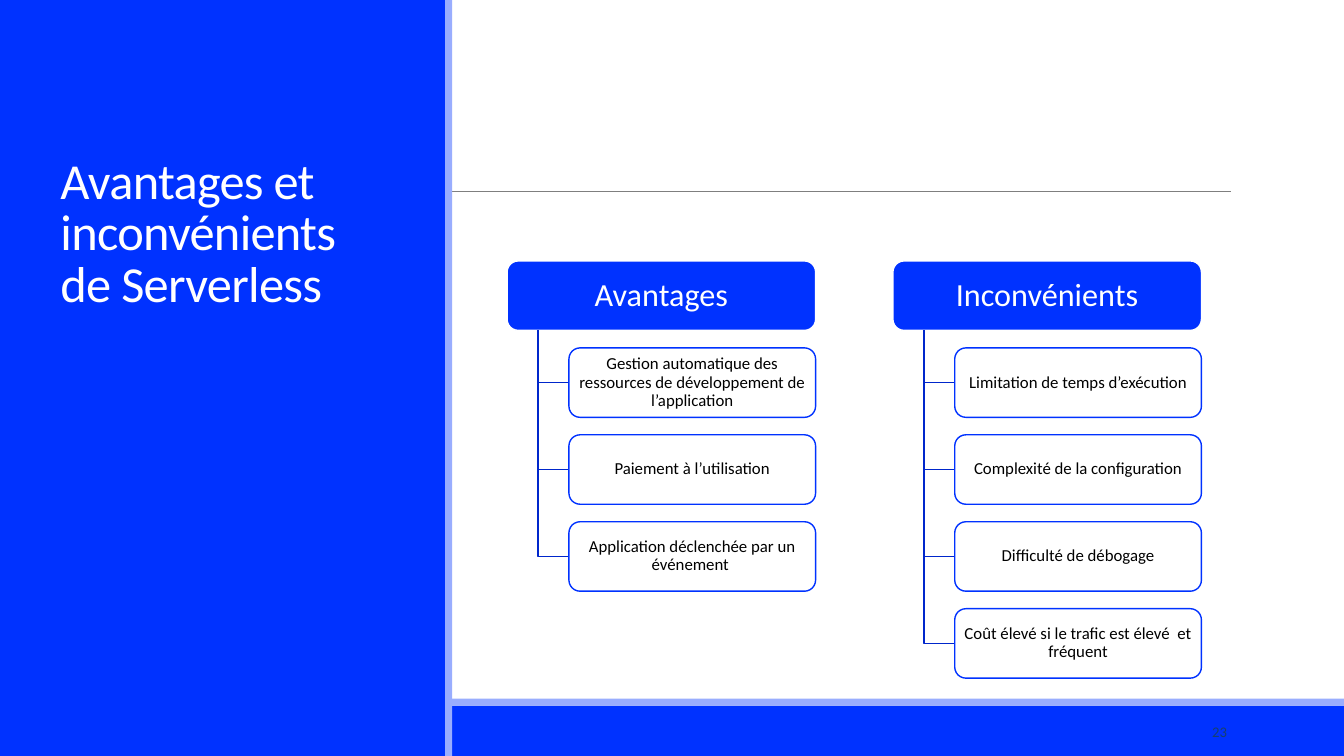
from pptx import Presentation
from pptx.dml.color import RGBColor
from pptx.enum.shapes import MSO_CONNECTOR, MSO_SHAPE
from pptx.enum.text import MSO_ANCHOR, MSO_AUTO_SIZE, PP_ALIGN
from pptx.oxml.ns import qn
from pptx.util import Pt
from lxml.etree import SubElement

INK = {
    "blue": "0032FF",
    "pale": "99ADFE",
    "link": "0026CB",
    "rule": "7F7F7F",
    "white": "FFFFFF",
    "black": "000000",
    "navy": "17406D",
}
FONT = "Calibri"
WIDE, HIGH = 960, 540
TOP, TALL = 186.4, 49.6
STEP = 62.1
INDENT = 44.2
LISTS = [
    (362.2, "Avantages", [
        "Gestion automatique des ressources de développement de l’application",
        "Paiement à l’utilisation",
        "Application déclenchée par un événement ",
    ]),
    (637.8, "Inconvénients", [
        "Limitation de temps d’exécution",
        "Complexité de la configuration",
        "Difficulté de débogage",
        "Coût élevé si le trafic est élevé  et fréquent",
    ]),
]


def color(name):
    return RGBColor.from_string(INK[name])


def write(frame, text, size, ink, align, anchor):
    frame.word_wrap = True
    frame.auto_size = MSO_AUTO_SIZE.NONE
    frame.vertical_anchor = anchor
    para = frame.paragraphs[0]
    para.text = text
    para.alignment = align
    para.font.name = FONT
    para.font.size = Pt(size)
    para.font.color.rgb = color(ink)
    return para


def add_bar(slide, left, top, width, height, fill):
    bar = slide.shapes.add_shape(
        MSO_SHAPE.RECTANGLE, Pt(left), Pt(top), Pt(width), Pt(height))
    bar.shadow.inherit = False
    bar.fill.solid()
    bar.fill.fore_color.rgb = color(fill)
    bar.line.fill.background()


def add_rule(slide, left, right, top):
    rule = slide.shapes.add_connector(
        MSO_CONNECTOR.STRAIGHT, Pt(left), Pt(top), Pt(right), Pt(top))
    rule.line.color.rgb = color("rule")
    rule.line.width = Pt(0.5)
    SubElement(rule._element.spPr, qn("a:effectLst"))


def add_elbow(slide, left, top, right, low):
    pen = slide.shapes.build_freeform(Pt(left), Pt(top))
    pen.add_line_segments(
        [(Pt(left), Pt(low)), (Pt(right), Pt(low))], close=False)
    elbow = pen.convert_to_shape()
    elbow.shadow.inherit = False
    elbow.fill.background()
    elbow.line.color.rgb = color("link")
    elbow.line.width = Pt(1)


def add_card(slide, left, top, width, text, size, fill, edge, ink, inset):
    card = slide.shapes.add_shape(
        MSO_SHAPE.ROUNDED_RECTANGLE, Pt(left), Pt(top), Pt(width), Pt(TALL))
    card.adjustments[0] = 0.16
    card.shadow.inherit = False
    card.fill.solid()
    card.fill.fore_color.rgb = color(fill)
    card.line.color.rgb = color(edge)
    card.line.width = Pt(1)
    frame = card.text_frame
    frame.margin_left = frame.margin_right = Pt(inset)
    frame.margin_top = frame.margin_bottom = Pt(3.6)
    para = write(frame, text, size, ink, PP_ALIGN.CENTER, MSO_ANCHOR.MIDDLE)
    para.line_spacing = 0.9


def add_list(slide, left, head, items):
    add_card(slide, left, TOP, 220.4, head, 23, "blue", "white", "white", 5.8)
    for row, item in enumerate(items, 1):
        top = TOP + row * STEP
        add_elbow(slide, left + INDENT / 2, TOP + TALL,
                  left + INDENT, top + TALL / 2)
        add_card(slide, left + INDENT, top, 176.2, item, 12,
                 "white", "blue", "black", 3.6)


def add_title(slide, text):
    title = slide.shapes.title
    title.left, title.top = Pt(36), Pt(46.8)
    title.width, title.height = Pt(252), Pt(180)
    para = write(title.text_frame, text, 36, "white",
                 PP_ALIGN.LEFT, MSO_ANCHOR.BOTTOM)
    para.line_spacing = 0.85
    para.runs[0].font._element.set("spc", "-50")
    slide.shapes._spTree.append(title._element)


def add_number(slide, text):
    box = slide.shapes.add_textbox(Pt(780), Pt(508.5), Pt(103.5), Pt(28.8))
    write(box.text_frame, text, 10.5, "navy",
          PP_ALIGN.RIGHT, MSO_ANCHOR.MIDDLE)


def main():
    deck = Presentation()
    deck.slide_width, deck.slide_height = Pt(WIDE), Pt(HIGH)
    slide = deck.slides.add_slide(deck.slide_layouts[5])
    add_bar(slide, 0, 504, WIDE, 36, "blue")
    add_bar(slide, 0, 499, WIDE, 5, "pale")
    add_rule(slide, 94, 879, 136.8)
    add_bar(slide, 0, 0, 319, HIGH, "blue")
    add_bar(slide, 318, 0, 5, HIGH, "pale")
    add_title(slide, "Avantages et inconvénients de Serverless")
    for left, head, items in LISTS:
        add_list(slide, left, head, items)
    add_number(slide, "23")
    deck.save("out.pptx")


if __name__ == "__main__":
    main()
